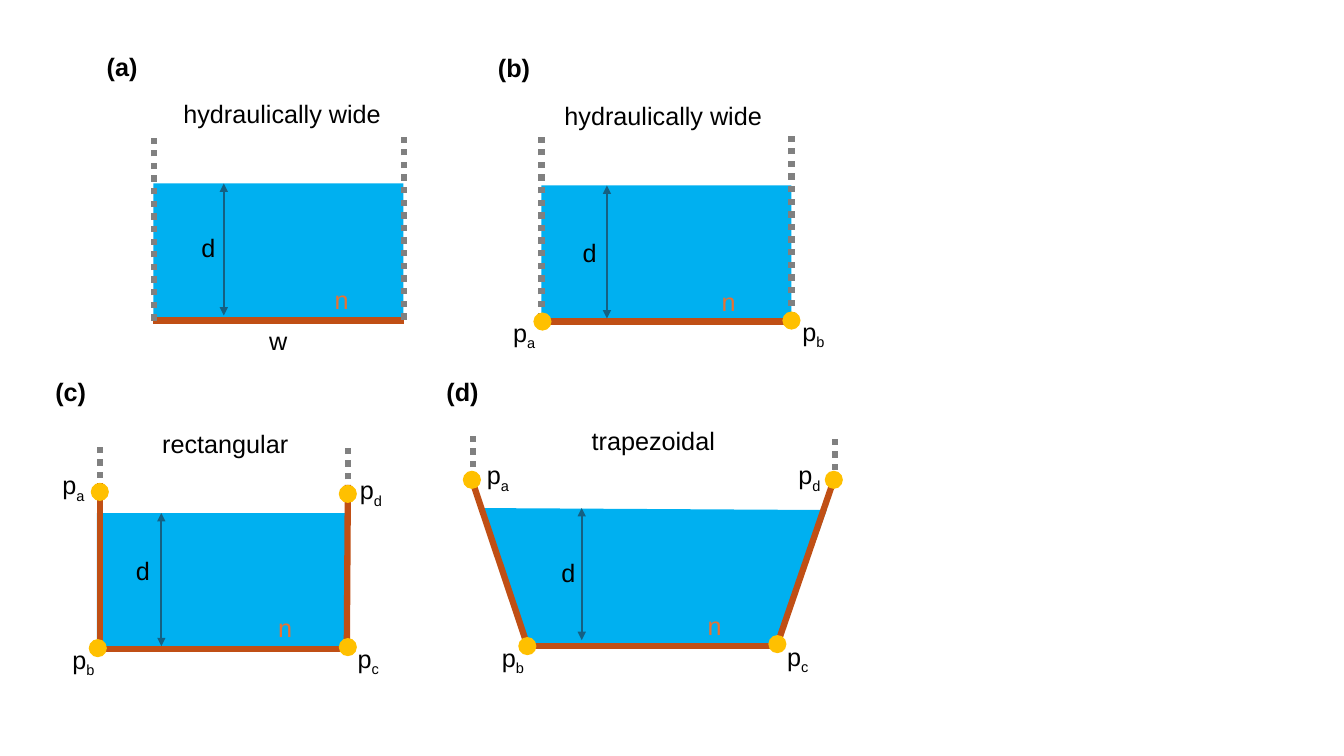
"""Draw four channel cross-sections with their depth, bed and profile points."""
from dataclasses import dataclass

from pptx import Presentation
from pptx import util as u
from pptx.dml.color import RGBColor
from pptx.enum import dml, shapes, text
from pptx.oxml.ns import qn
from lxml import etree

PX = 9144
WATER, BED, BANK = "00B0F0", "C04F15", "808080"
POINT, DEPTH, ROUGHNESS, INK = "FFC000", "156082", "E97132", "000000"
DOT = 18
LABEL_HEIGHT = 40
WIDTHS = {"d": 34, "n": 34, "w": 38, "hydraulically wide": 220,
          "rectangular": 145, "trapezoidal": 144}


@dataclass
class Channel:
    """One section; every position is relative to the corner of its box."""
    box: tuple
    tag: tuple
    labels: list
    solid: list
    dotted: list
    points: list
    depth: tuple
    outline: tuple = ()


CHANNELS = [
    Channel(box=(152, 182, 248, 136), tag=("(a)", -56, -136),
            labels=[("hydraulically wide", 20, -89), ("d", 38, 44),
                    ("w", 105, 136), ("n", 170, 95)],
            solid=[(0, 136, 249, 136)],
            dotted=[(1, 136, 1, -51), (249, 135, 249, -52)],
            points=[], depth=(70, 131)),
    Channel(box=(537, 184, 248, 135), tag=("(b)", -53, -137),
            labels=[("hydraulically wide", 13, -89), ("d", 31, 47),
                    ("n", 169, 95), ("p_a", -38, 126), ("p_b", 249, 125)],
            solid=[(0, 135, 248, 135)],
            dotted=[(0, 133, 0, -54), (248, 132, 248, -55)],
            points=[(1, 135), (248, 134)], depth=(65, 132)),
    Channel(box=(96, 509, 248, 135), tag=("(c)", -51, -141),
            labels=[("rectangular", 55, -89), ("d", 29, 37), ("n", 170, 94),
                    ("p_a", -44, -48), ("p_b", -34, 125),
                    ("p_c", 249, 124), ("p_d", 251, -43)],
            solid=[(0, 135, 249, 135), (3, 137, 3, -30), (248, 135, 249, -28)],
            dotted=[(3, -22, 3, -66), (249, -21, 249, -65)],
            points=[(3, -21), (1, 134), (249, 133), (249, -19)],
            depth=(64, 132)),
    Channel(box=(477, 504, 342, 139), tag=("(d)", -44, -136),
            labels=[("trapezoidal", 100, -87), ("d", 70, 44), ("n", 215, 97),
                    ("p_a", -4, -53), ("p_b", 11, 128),
                    ("p_c", 294, 127), ("p_d", 305, -53)],
            solid=[(45, 137, 293, 137), (47, 139, -9, -28),
                   (293, 138, 349, -25)],
            dotted=[(-8, -28, -8, -71), (351, -25, 351, -68)],
            points=[(-9, -28), (46, 137), (294, 135), (350, -28)],
            depth=(100, 131),
            outline=((0, 0), (48, 138), (295, 136), (343, 2))),
]


def color(code):
    """Turn a hex string into a colour."""
    return RGBColor.from_string(code)


def scaled(*lengths):
    """Turn px lengths into EMU."""
    return [u.Emu(length * PX) for length in lengths]


def paint(shape, code):
    """Fill a shape flat, without outline or shadow."""
    shape.shadow.inherit = False
    shape.fill.solid()
    shape.fill.fore_color.rgb = color(code)
    shape.line.fill.background()


def add_line(page, ends, code, points, dotted=False, arrows=False):
    """Add a straight line, optionally dotted or with arrowheads at both ends."""
    line = page.shapes.add_connector(shapes.MSO_CONNECTOR.STRAIGHT, *scaled(*ends))
    line.line.color.rgb = color(code)
    line.line.width = u.Pt(points)
    if dotted:
        line.line.dash_style = dml.MSO_LINE.ROUND_DOT
    if arrows:
        for end in ("a:headEnd", "a:tailEnd"):
            etree.SubElement(line.line._get_or_add_ln(), qn(end), type="triangle")
    etree.SubElement(line._element.spPr, qn("a:effectLst"))


def add_label(page, words, left, top, width, code=INK, bold=False):
    """Add a one-line label; what follows an underscore is a subscript."""
    box = page.shapes.add_textbox(*scaled(left, top, width, LABEL_HEIGHT))
    box.text_frame.word_wrap = False
    box.text_frame.auto_size = text.MSO_AUTO_SIZE.SHAPE_TO_FIT_TEXT
    para = box.text_frame.paragraphs[0]
    for index, part in enumerate(words.split("_")):
        span = para.add_run()
        span.text = part
        span.font.name = "Arial"
        span.font.size = u.Pt(18)
        span.font.bold = bold
        span.font.color.rgb = color(code)
        if index:
            span._r.get_or_add_rPr().set("baseline", "-25000")


def add_water(page, box, outline):
    """Add the water as a rectangle, or as a polygon if an outline is given."""
    left, top = box[:2]
    if outline:
        corners = [scaled(left + x, top + y) for x, y in outline]
        builder = page.shapes.build_freeform(*corners[0])
        builder.add_line_segments(corners[1:], close=True)
        water = builder.convert_to_shape()
    else:
        water = page.shapes.add_shape(shapes.MSO_SHAPE.RECTANGLE, *scaled(*box))
    paint(water, WATER)


def add_channel(page, channel):
    """Add one channel section with its lines, points and labels."""
    left, top = channel.box[:2]

    def moved(x1, y1, x2, y2):
        """Shift line ends into the box."""
        return left + x1, top + y1, left + x2, top + y2

    add_water(page, channel.box, channel.outline)
    for ends in channel.solid:
        add_line(page, moved(*ends), BED, 4.5)
    for ends in channel.dotted:
        add_line(page, moved(*ends), BANK, 4.5, dotted=True)
    for x, y in channel.points:
        place = scaled(left + x - DOT // 2, top + y - DOT // 2, DOT, DOT)
        paint(page.shapes.add_shape(shapes.MSO_SHAPE.OVAL, *place), POINT)
    tag, x, y = channel.tag
    add_label(page, tag, left + x, top + y, 52, bold=True)
    for words, x, y in channel.labels:
        add_label(page, words, left + x, top + y, WIDTHS.get(words, 43),
                  ROUGHNESS if words == "n" else INK)
    x, bottom = channel.depth
    add_line(page, moved(x, 0, x, bottom), DEPTH, 1.5, arrows=True)


def main():
    """Build the deck and save it."""
    deck = Presentation()
    deck.slide_width, deck.slide_height = scaled(1333, 750)
    page = deck.slides.add_slide(deck.slide_layouts[6])
    for channel in CHANNELS:
        add_channel(page, channel)
    deck.save("out.pptx")


if __name__ == "__main__":
    main()
